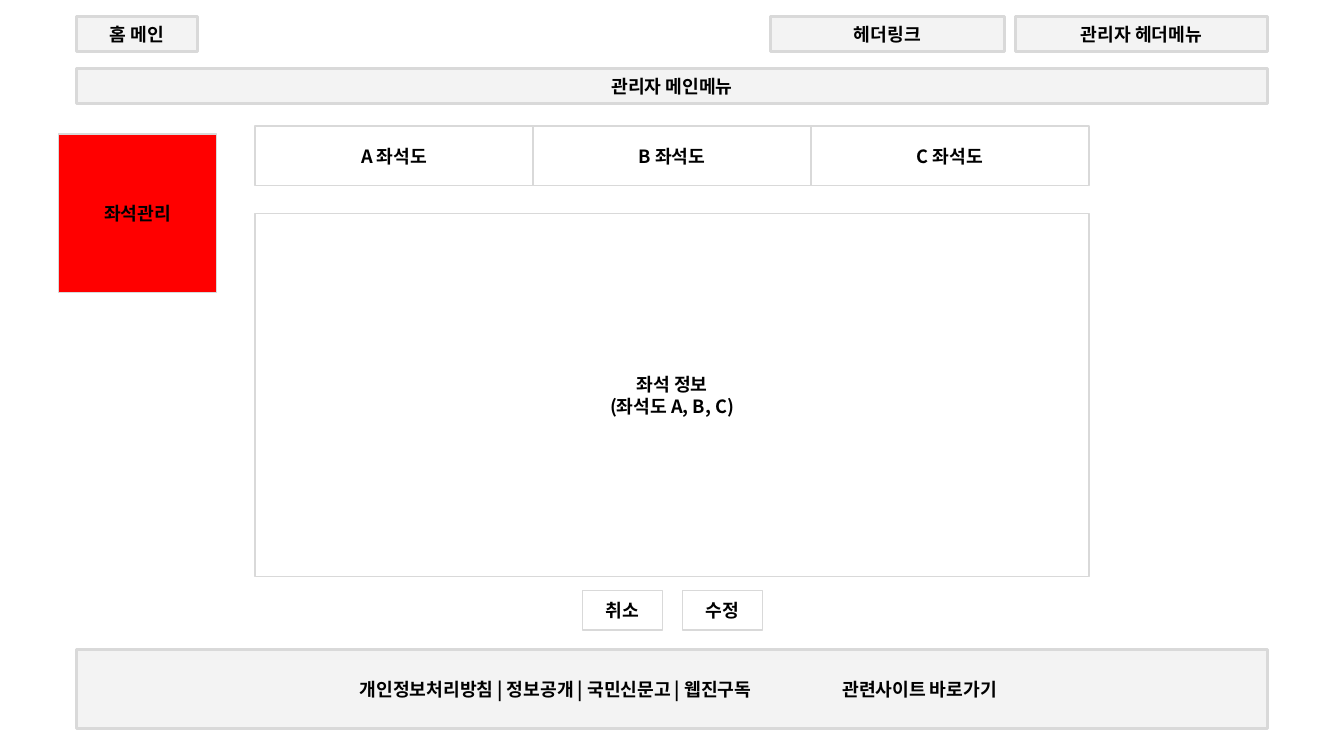
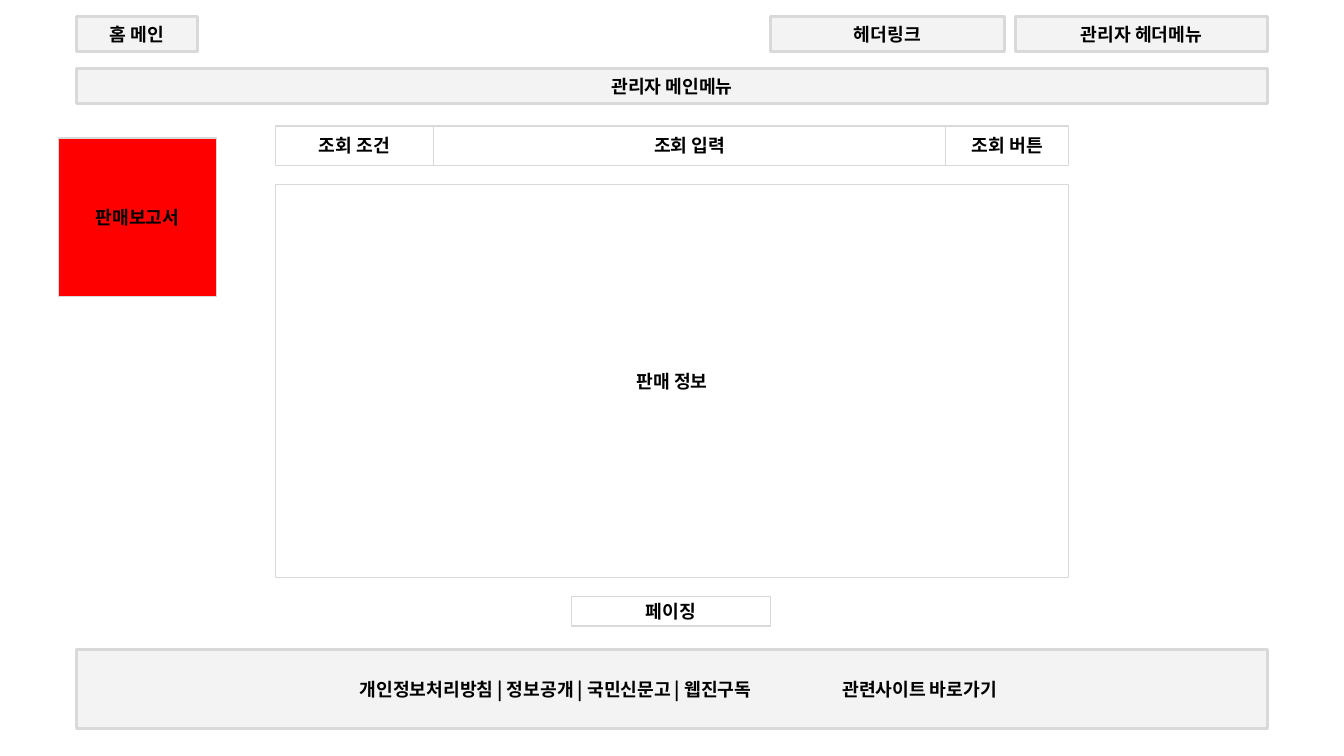
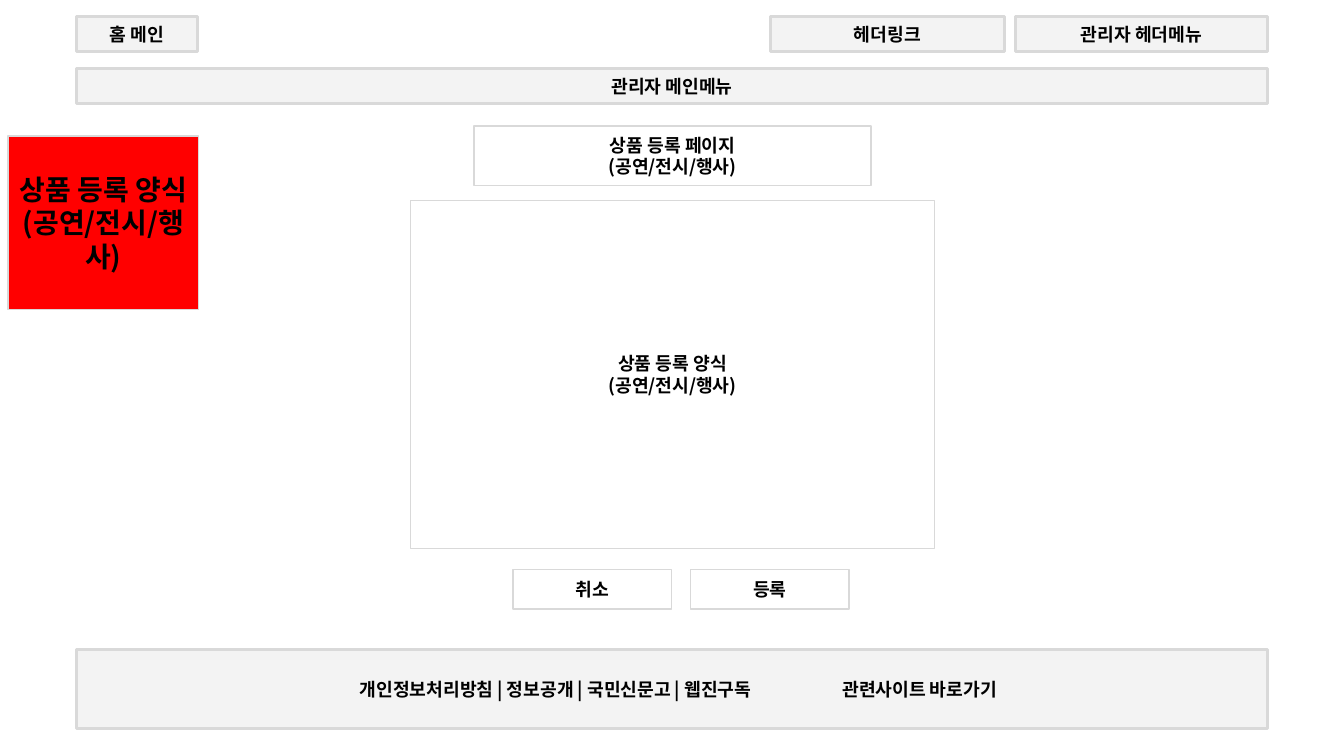
from dataclasses import dataclass

from lxml.etree import SubElement
from pptx import Presentation
from pptx.dml.color import RGBColor as Color
from pptx.enum.shapes import MSO_SHAPE as Shape
from pptx.enum.text import MSO_ANCHOR as Anchor, PP_ALIGN as Align
from pptx.oxml.ns import qn
from pptx.util import Inches, Pt


@dataclass(frozen=True)
class Theme:
    font: str = "Noto Sans CJK KR"
    text: Color = Color(0x00, 0x00, 0x00)
    gray: Color = Color(0xD9, 0xD9, 0xD9)
    panel: Color = Color(0xFF, 0xFF, 0xFF)
    label: Color = Color(0xFF, 0x00, 0x00)
    band_opacity: int = 30
    body_size: int = 13
    large_size: int = 20
    thin_line: int = 1
    band_line: int = 2


THEME = Theme()
PAGE_WIDTH, PAGE_HEIGHT = 13.33, 7.5
FRAME_LEFT, FRAME_WIDTH = 0.76, 11.81
CONTENT_TOP = 1.25
KIND = "(공연/전시/행사)"


# Basic parts: a box is (left, top, width, height) in inches
def write_text(shape, text, size=THEME.body_size):
    frame = shape.text_frame
    frame.word_wrap = True
    frame.vertical_anchor = Anchor.MIDDLE
    frame.text = text
    for para in frame.paragraphs:
        para.alignment = Align.CENTER
        font = para.font
        font.name, font.size, font.bold = THEME.font, Pt(size), True
        font.color.rgb = THEME.text
        # Hangul takes the East Asian typeface
        defaults = para._p.pPr.find(qn("a:defRPr"))
        SubElement(defaults, qn("a:ea"), typeface=THEME.font)


def add_box(page, box, text, fill=THEME.panel, line=THEME.thin_line,
            size=THEME.body_size):
    shape = page.shapes.add_shape(Shape.RECTANGLE, *map(Inches, box))
    shape.shadow.inherit = False
    shape.fill.solid()
    shape.fill.fore_color.rgb = fill
    shape.line.color.rgb = THEME.gray
    shape.line.width = Pt(line)
    write_text(shape, text, size)
    return shape


def add_band(page, box, text):
    shape = add_box(page, box, text, THEME.gray, THEME.band_line)
    color = shape.fill._xPr.find(qn("a:solidFill"))[0]
    SubElement(color, qn("a:alpha"), val=str(THEME.band_opacity * 1000))
    return shape


def add_row(page, box, texts, widths, gap=0):
    left, top, _, height = box
    for text, width in zip(texts, widths):
        add_box(page, (left, top, width, height), text)
        left += width + gap


# Shared regions
def add_header(page, box):
    left, top, width, height = box
    add_band(page, (left, top + 0.52, width, height), "관리자 메인메뉴")
    for offset, part_width, text in (
        (0, 1.2, "홈 메인"),
        (6.88, 2.32, "헤더링크"),
        (9.31, 2.5, "관리자 헤더메뉴"),
    ):
        add_band(page, (left + offset, top, part_width, height), text)


def add_footer(page, box):
    left, top, _, height = box
    band = add_band(page, box, "개인정보처리방침 | 정보공개 | 국민신문고 | 웹진구독")
    band.text_frame.margin_right = Inches(2.41)
    sites = page.shapes.add_textbox(
        *map(Inches, (left + 7.36, top, 2, height)))
    write_text(sites, "관련사이트 바로가기")


def add_page(deck, label, label_box, label_size=THEME.body_size):
    page = deck.slides.add_slide(deck.slide_layouts[6])
    add_header(page, (FRAME_LEFT, 0.16, FRAME_WIDTH, 0.35))
    add_footer(page, (FRAME_LEFT, 6.44, FRAME_WIDTH, 0.79))
    add_box(page, label_box, label, THEME.label, size=label_size)
    return page


# Page contents
def add_seat_content(page, box):
    left, top, width, _ = box
    add_box(page, (left, top + 0.87, width, 3.6), "좌석 정보\n(좌석도 A, B, C)")
    add_row(page, (left, top, width, 0.59),
            [f"{name} 좌석도" for name in "ABC"], [width / 3] * 3)
    add_row(page, (left + 3.25, top + 4.61, width, 0.39),
            ("취소", "수정"), [0.79] * 2, gap=0.2)


def add_sales_content(page, box):
    left, top, width, _ = box
    add_box(page, (left, top + 0.58, width, 3.9), "판매 정보")
    add_row(page, (left, top, width, 0.39),
            ("조회 조건", "조회 입력", "조회 버튼"), (1.57, 5.08, 1.22))
    add_box(page, (left + 2.94, top + 4.67, 1.97, 0.29), "페이징")


def add_product_content(page, box):
    left, top, width, _ = box
    add_box(page, (left + 0.63, top, width - 1.26, 0.59),
            f"상품 등록 페이지\n{KIND}")
    add_box(page, (left, top + 0.74, width, 3.45), f"상품 등록 양식\n{KIND}")
    add_row(page, (left + 1.02, top + 4.4, width, 0.39),
            ("취소", "등록"), [1.57] * 2, gap=0.19)


def main():
    deck = Presentation()
    deck.slide_width, deck.slide_height = Inches(PAGE_WIDTH), Inches(PAGE_HEIGHT)

    seats = add_page(deck, "좌석관리", (0.58, 1.33, 1.57, 1.57))
    add_seat_content(seats, (2.53, CONTENT_TOP, 8.27, 5))

    sales = add_page(deck, "판매보고서", (0.58, 1.37, 1.57, 1.57))
    add_sales_content(sales, (2.73, CONTENT_TOP, 7.87, 4.96))

    product = add_page(deck, f"상품 등록 양식\n{KIND}",
                       (0.08, 1.35, 1.89, 1.72), THEME.large_size)
    add_product_content(product, (4.07, CONTENT_TOP, 5.2, 4.79))

    deck.save("out.pptx")


if __name__ == "__main__":
    main()
